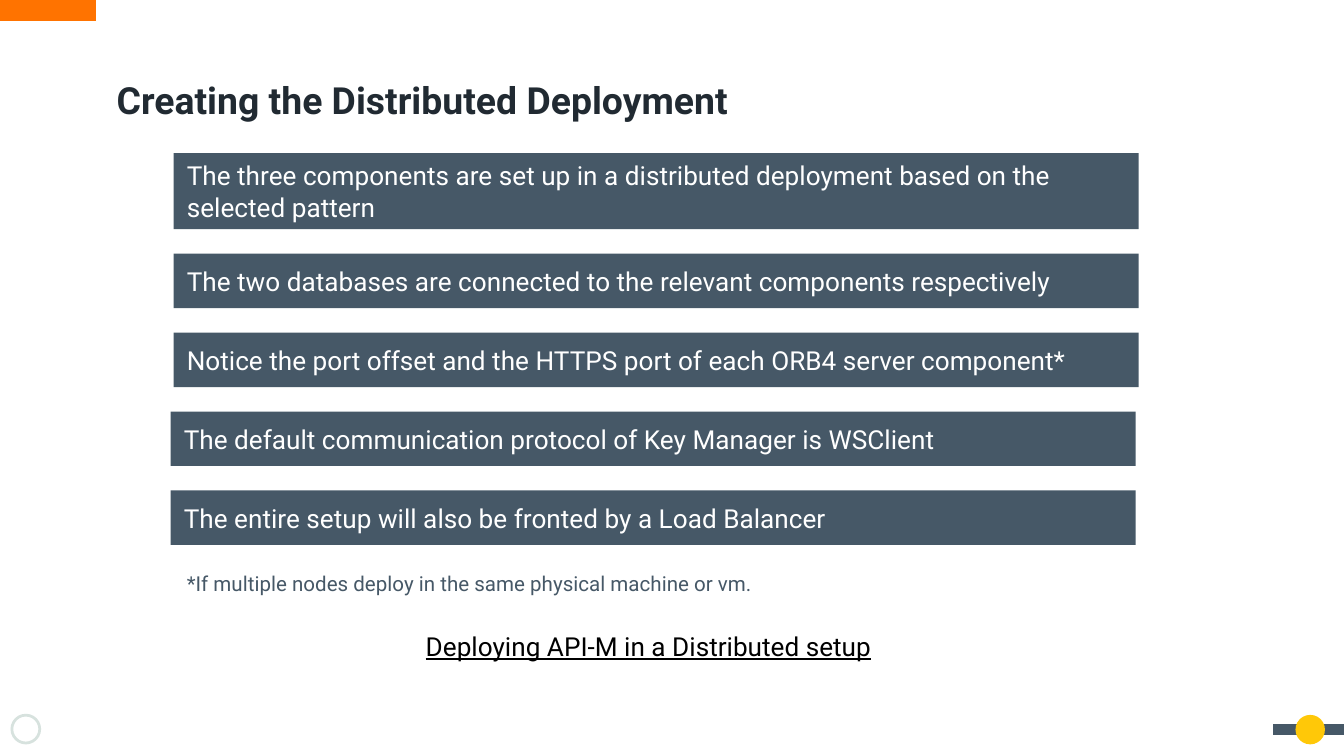
from pptx import Presentation
from pptx.dml.color import RGBColor
from pptx.enum.shapes import MSO_CONNECTOR, MSO_SHAPE
from pptx.enum.text import MSO_ANCHOR, PP_ALIGN
from pptx.oxml.ns import qn
from pptx.util import Pt
from lxml.etree import SubElement

ORANGE = RGBColor(0xFF, 0x73, 0x00)
SLATE = RGBColor(0x46, 0x58, 0x67)
YELLOW = RGBColor(0xFF, 0xC8, 0x08)
PALE = RGBColor(0xD7, 0xE2, 0xDE)
INK = RGBColor(0x21, 0x2A, 0x32)
WHITE = RGBColor(0xFF, 0xFF, 0xFF)
BLACK = RGBColor(0x00, 0x00, 0x00)

BAR_WIDTH, BAR_GAP = 517, 13.1
# left, height, text
BARS = [
    (93, 40.8, "The three components are set up in a distributed deployment "
               "based on the selected pattern"),
    (93, 29.2, "The two databases are connected to the relevant components respectively"),
    (93, 29.2, "Notice the port offset and the HTTPS port of each ORB4 server component*"),
    (91.4, 29.2, "The default communication protocol of Key Manager is WSClient"),
    (91.4, 29.2, "The entire setup will also be fronted by a Load Balancer"),
]


class SlideBuilder:
    """Holds the text style and the slide being filled."""

    font = "Roboto"
    inset = Pt(7.2)

    def __init__(self, slide):
        self.s = slide

    def set_text(self, sp, text, size, color, anchor, bold=False, underline=False):
        tf = sp.text_frame
        tf.word_wrap = True
        tf.vertical_anchor = anchor
        tf.margin_left = tf.margin_right = self.inset
        tf.margin_top = tf.margin_bottom = self.inset
        tf.text = text
        p = tf.paragraphs[0]
        p.alignment = PP_ALIGN.LEFT
        font = p.runs[0].font
        font.name, font.size, font.bold = self.font, Pt(size), bold
        font.underline = underline
        font.color.rgb = color

    def text(self, x, y, w, h, text, size, color, anchor=MSO_ANCHOR.TOP, **style):
        tb = self.s.shapes.add_textbox(Pt(x), Pt(y), Pt(w), Pt(h))
        self.set_text(tb, text, size, color, anchor, **style)

    def shape(self, kind, x, y, w, h, fill):
        sp = self.s.shapes.add_shape(kind, Pt(x), Pt(y), Pt(w), Pt(h))
        sp.shadow.inherit = False
        sp.fill.solid()
        sp.fill.fore_color.rgb = fill
        sp.line.fill.background()
        return sp

    def bar(self, x, y, h, text):
        sp = self.shape(MSO_SHAPE.RECTANGLE, x, y, BAR_WIDTH, h, SLATE)
        self.set_text(sp, text, 14, WHITE, MSO_ANCHOR.MIDDLE)

    def rule(self, x1, x2, y, color, width):
        """Draw a horizontal line."""
        line = self.s.shapes.add_connector(
            MSO_CONNECTOR.STRAIGHT, Pt(x1), Pt(y), Pt(x2), Pt(y))
        line.line.color.rgb = color
        line.line.width = Pt(width)
        SubElement(line._element.spPr, qn("a:effectLst"))


def main():
    prs = Presentation()
    prs.slide_width, prs.slide_height = Pt(720), Pt(405)
    b = SlideBuilder(prs.slides.add_slide(prs.slide_layouts[6]))

    b.rule(-2, 51.4, 5.5, ORANGE, 12)
    b.rule(682, 723, 391, SLATE, 6)
    b.shape(MSO_SHAPE.OVAL, 694, 383, 15.8, 15.8, YELLOW)
    badge = b.shape(MSO_SHAPE.DONUT, 5.6, 382.4, 16.4, 16.4, PALE)
    badge.adjustments[0] = 0.09

    b.text(55.4, 36, 613, 34.6, "Creating the Distributed Deployment",
           20, INK, MSO_ANCHOR.MIDDLE, bold=True)

    y = 82
    for x, h, text in BARS:
        b.bar(x, y, h, text)
        y += h + BAR_GAP

    b.text(93, 299.5, 426, 35,
           "*If multiple nodes deploy in the same physical machine or vm.", 11, SLATE)
    b.text(221, 330.5, 281.5, 35, "Deploying API-M in a Distributed setup",
           14, BLACK, underline=True)

    prs.save("out.pptx")


if __name__ == "__main__":
    main()
